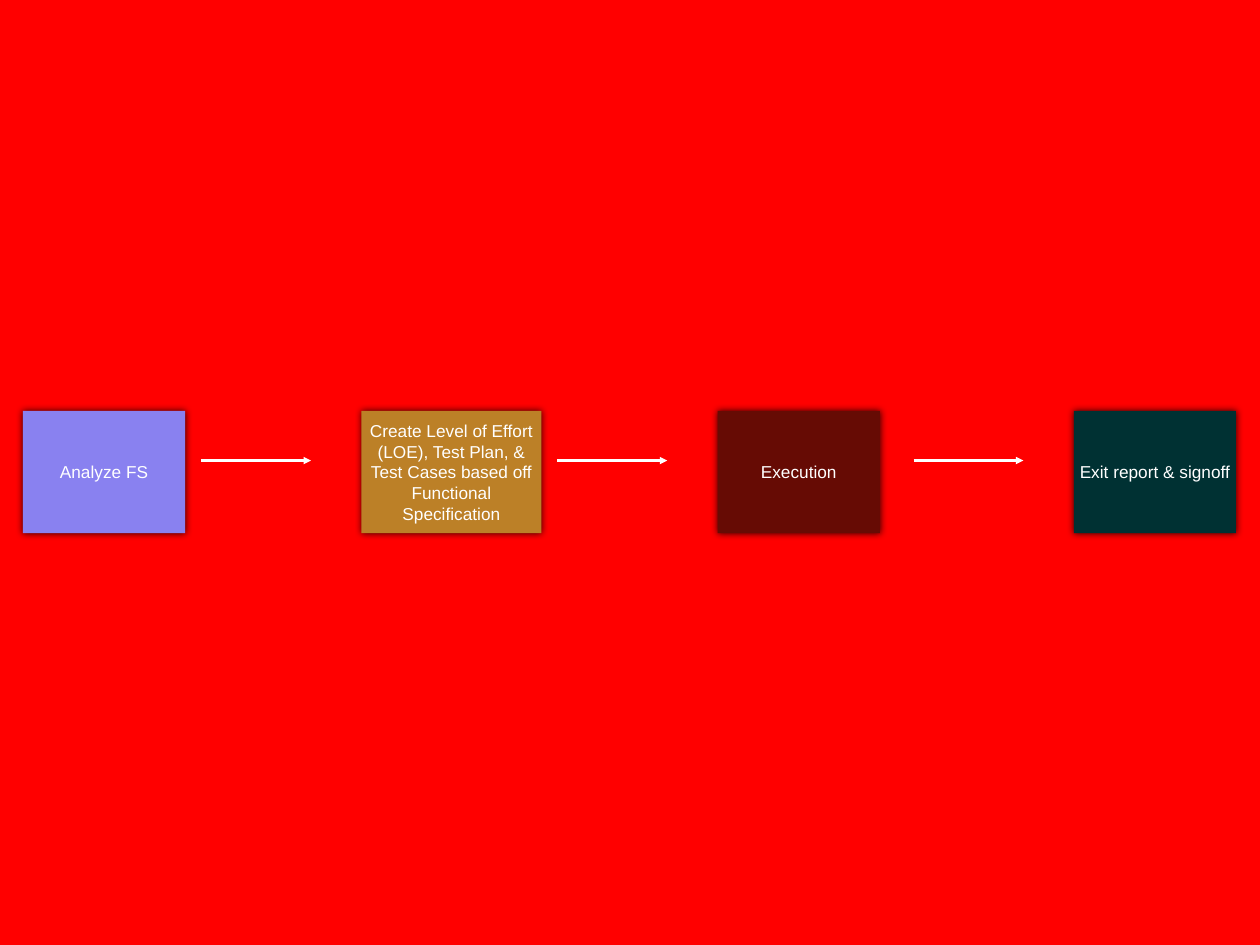
import pptx
import pptx.dml.color
import pptx.enum.shapes
import pptx.enum.text
import pptx.oxml
import pptx.oxml.ns
import pptx.util

RGB = pptx.dml.color.RGBColor.from_string
Inches = pptx.util.Inches
Pt = pptx.util.Pt

THEME = {
    "background": "FF0000",
    "ink": "FFFFFF",
    "font": "Arial",
    "size": 14,
    "line": 2,
}

# Column grid, in inches
LEFT, PITCH = 0.06, 4.02
BOX_TOP, BOX_HEIGHT = 4.64, 1.38
NARROW, WIDE = 1.83, 2.03
ARROW_OFFSET, ARROW_LENGTH, ARROW_Y = 2.21, 1.24, 5.2
MARGIN = 0.06

# Each step: text, fill, inset from its column, width
STEPS = [
    ("Analyze FS", "8981F0", WIDE - NARROW, NARROW),
    ("Create Level of Effort (LOE), Test Plan, & Test Cases based off "
     "Functional Specification", "BC8027", 0, WIDE),
    ("Execution", "660B04", 0, NARROW),
    ("Exit report & signoff", "003133", 0, NARROW),
]

SHADOW = (
    f'<a:outerShdw {pptx.oxml.ns.nsdecls("a")} blurRad="{Pt(6)}" dist="0" '
    'dir="18900000" rotWithShape="0"><a:srgbClr val="000000">'
    '<a:alpha val="80000"/></a:srgbClr></a:outerShdw>'
)
ARROWHEAD = f'<a:tailEnd {pptx.oxml.ns.nsdecls("a")} type="triangle"/>'
NO_EFFECTS = f'<a:effectLst {pptx.oxml.ns.nsdecls("a")}/>'

# Slide and background
prs = pptx.Presentation()
prs.slide_width, prs.slide_height = Inches(14.22), Inches(10.67)
s = prs.slides.add_slide(prs.slide_layouts[6])
s.background.fill.solid()
s.background.fill.fore_color.rgb = RGB(THEME["background"])

for i, (text, fill, inset, width) in enumerate(STEPS):
    column = LEFT + i * PITCH

    # Step box with a soft shadow
    sp = s.shapes.add_shape(
        pptx.enum.shapes.MSO_SHAPE.RECTANGLE, Inches(column + inset),
        Inches(BOX_TOP), Inches(width), Inches(BOX_HEIGHT))
    sp.fill.solid()
    sp.fill.fore_color.rgb = RGB(fill)
    sp.line.fill.background()
    sp.shadow.inherit = False
    effects = sp._element.spPr.find(pptx.oxml.ns.qn("a:effectLst"))
    effects.append(pptx.oxml.parse_xml(SHADOW))

    # Step text
    tf = sp.text_frame
    tf.word_wrap = True
    tf.vertical_anchor = pptx.enum.text.MSO_ANCHOR.MIDDLE
    tf.margin_left = tf.margin_right = Inches(MARGIN)
    tf.margin_top = tf.margin_bottom = Inches(MARGIN)
    p = tf.paragraphs[0]
    p.text = text
    p.alignment = pptx.enum.text.PP_ALIGN.CENTER
    p.font.name = THEME["font"]
    p.font.size = Pt(THEME["size"])
    p.font.color.rgb = RGB(THEME["ink"])

    # Arrow towards the next step
    if i < len(STEPS) - 1:
        start = column + ARROW_OFFSET
        arrow = s.shapes.add_connector(
            pptx.enum.shapes.MSO_CONNECTOR.STRAIGHT, Inches(start),
            Inches(ARROW_Y), Inches(start + ARROW_LENGTH), Inches(ARROW_Y))
        arrow.line.color.rgb = RGB(THEME["ink"])
        arrow.line.width = Pt(THEME["line"])
        arrow.line._get_or_add_ln().append(pptx.oxml.parse_xml(ARROWHEAD))
        arrow._element.spPr.append(pptx.oxml.parse_xml(NO_EFFECTS))

prs.save("out.pptx")
